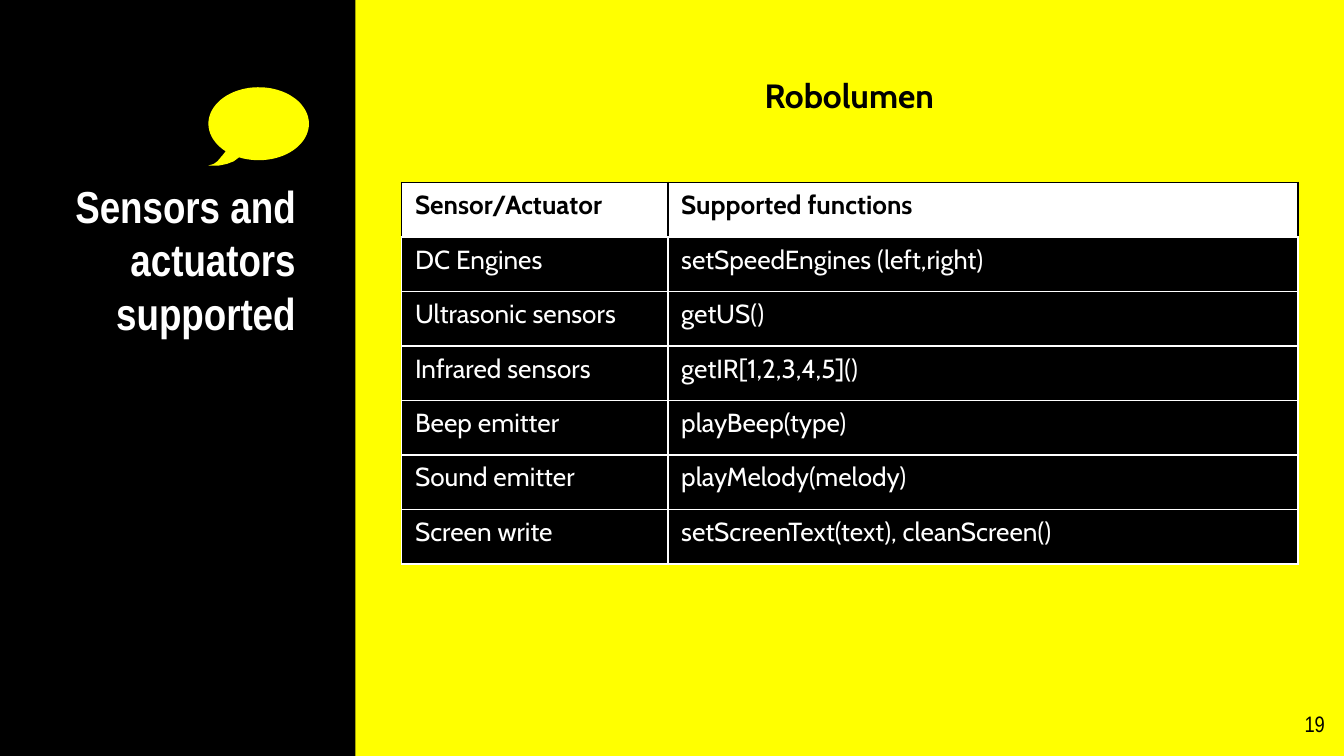
import math

import pptx
import pptx.dml.color
import pptx.enum.shapes
import pptx.enum.text
import pptx.oxml
import pptx.oxml.ns
import pptx.util
from pptx.util import Cm

BLACK, WHITE, YELLOW = "000000", "FFFFFF", "FFFF00"
ALIGN = pptx.enum.text.PP_ALIGN


def color(hex_string):
    return pptx.dml.color.RGBColor.from_string(hex_string)


def write(frame, text, font="Cabin", size=14, fill=BLACK, bold=False,
          align=ALIGN.LEFT, before=0, margin=None):
    """Fill a text frame with one formatted paragraph; margin is in cm."""
    frame.word_wrap = True
    if margin is not None:
        frame.margin_left = frame.margin_right = Cm(margin)
        frame.margin_top = frame.margin_bottom = Cm(margin)
    paragraph = frame.paragraphs[0]
    paragraph.alignment = align
    paragraph.space_before = pptx.util.Pt(before)
    run = paragraph.add_run()
    run.text = text
    run.font.name = font
    run.font.size = pptx.util.Pt(size)
    run.font.bold = bold
    run.font.color.rgb = color(fill)


presentation = pptx.Presentation()
presentation.slide_width = Cm(25.4)
presentation.slide_height = Cm(14.29)
slide = presentation.slides.add_slide(presentation.slide_layouts[6])
slide.background.fill.solid()
slide.background.fill.fore_color.rgb = color(YELLOW)

# Side panel
panel = slide.shapes.add_shape(
    pptx.enum.shapes.MSO_SHAPE.RECTANGLE, 0, 0, Cm(6.72), presentation.slide_height)

# Speech bubble: an ellipse left open at the lower left, closed by a tail
points = []
for step in range(73):
    angle = math.radians(131 + step * 342 / 72)
    points.append((4.89 + 0.95 * math.cos(angle), 2.34 + 0.69 * math.sin(angle)))
points += [(4.42, 3.05), (4.29, 3.1), (4.14, 3.13), (3.94, 3.13),
           (4.04, 3.1), (4.11, 3.05), (4.22, 2.92)]
outline = [(Cm(x), Cm(y)) for x, y in points]
builder = slide.shapes.build_freeform(*outline[0])
builder.add_line_segments(outline[1:], close=True)
bubble = builder.convert_to_shape()

for shape, fill in ((panel, BLACK), (bubble, YELLOW)):
    shape.shadow.inherit = False
    shape.fill.solid()
    shape.fill.fore_color.rgb = color(fill)
    shape.line.fill.background()

# Title, heading and page number
title = slide.shapes.add_textbox(Cm(1.12), Cm(3.12), Cm(4.72), Cm(4.11))
write(title.text_frame, "Sensors and actuators supported", font="Arial Narrow",
      size=24, fill=WHITE, bold=True, align=ALIGN.RIGHT, margin=0.25)
heading = slide.shapes.add_textbox(Cm(14.2), Cm(1.17), Cm(3.73), Cm(1.22))
write(heading.text_frame, "Robolumen", size=18, bold=True, before=6, margin=0.25)
page_number = slide.shapes.add_textbox(Cm(23.77), Cm(13.18), Cm(1.52), Cm(1.09))
write(page_number.text_frame, "19", font="Arial Narrow", size=12,
      align=ALIGN.RIGHT, margin=0.25)

# Table of functions
rows = [
    ("Sensor/Actuator", "Supported functions"),
    ("DC Engines", "setSpeedEngines (left,right)"),
    ("Ultrasonic sensors", "getUS()"),
    ("Infrared sensors", "getIR[1,2,3,4,5]()"),
    ("Beep emitter", "playBeep(type)"),
    ("Sound emitter", "playMelody(melody)"),
    ("Screen write", "setScreenText(text), cleanScreen()"),
]
row_height = Cm(1.03)
table = slide.shapes.add_table(len(rows), 2, Cm(7.59), Cm(3.45),
                               Cm(16.94), row_height * len(rows)).table
table.horz_banding = False
table.columns[0].width = Cm(5.03)
table.columns[1].width = Cm(11.91)
for row_index, row in enumerate(rows):
    table.rows[row_index].height = row_height
    header = row_index == 0
    for column_index, text in enumerate(row):
        cell = table.cell(row_index, column_index)
        properties = cell._tc.get_or_add_tcPr()
        for side in "LRTB":
            border = BLACK if header and side != "B" else WHITE
            properties.append(pptx.oxml.parse_xml(
                f'<a:ln{side} {pptx.oxml.ns.nsdecls("a")} w="12700"><a:solidFill>'
                f'<a:srgbClr val="{border}"/></a:solidFill></a:ln{side}>'))
        cell.fill.solid()
        cell.fill.fore_color.rgb = color(WHITE if header else BLACK)
        write(cell.text_frame, text, fill=BLACK if header else WHITE,
              bold=header, before=6)

presentation.save("out.pptx")
